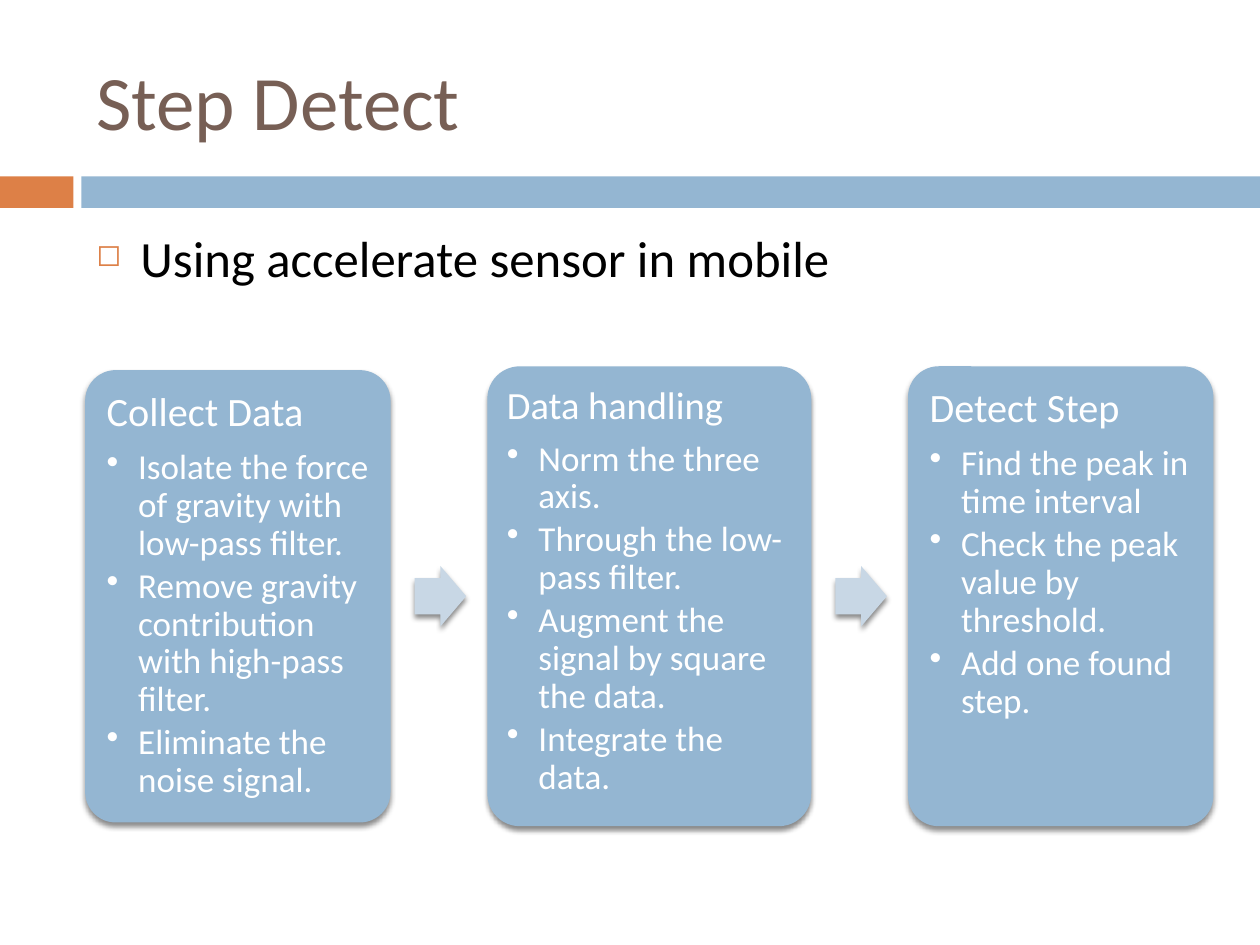
import dataclasses
import typing

import lxml.etree
import pptx
import pptx.dml.color
import pptx.enum.shapes
import pptx.enum.text
import pptx.oxml.ns
import pptx.util

Pt = pptx.util.Pt
KIND = pptx.enum.shapes.MSO_SHAPE
SIDE = pptx.enum.text.MSO_ANCHOR
FONT = "Calibri"
HUES = {
    "title": "775F55", "blue": "94B6D2", "pale": "C8D7E5",
    "orange": "DD8047", "black": "000000", "white": "FFFFFF",
}


@dataclasses.dataclass
class Box:
    """A frame in points."""
    left: float
    top: float
    width: float
    height: float

    def inset(self, gap: float) -> "Box":
        """Return the frame shrunk by a gap on every side."""
        return Box(self.left + gap, self.top + gap,
                   self.width - 2 * gap, self.height - 2 * gap)

    def spread(self) -> list:
        """Return the four lengths for a new shape."""
        return [Pt(n) for n in dataclasses.astuple(self)]


@dataclasses.dataclass
class Card:
    """One step of the process."""
    box: Box
    head: str
    size: float
    pad: float
    points: list[str]


CARDS = [
    Card(Box(48.7, 211.5, 174.5, 258.5), "Collect Data", 23, 7.2, [
        "Isolate the force of gravity with low-pass filter.",
        "Remove gravity contribution with high-pass filter.",
        "Eliminate the noise signal."]),
    Card(Box(278.5, 209.3, 185.1, 262.8), "Data handling", 22, 6, [
        "Norm the three axis.",
        "Through the low-pass filter.",
        "Augment the signal by square the data.",
        "Integrate the data."]),
    Card(Box(518.9, 209.3, 174.5, 262.8), "Detect Step", 23, 7.2, [
        "Find the peak in time interval",
        "Check the peak value by threshold.",
        "Add one found step."]),
]


def hue(name: str) -> pptx.dml.color.RGBColor:
    """Look up a colour by name."""
    return pptx.dml.color.RGBColor.from_string(HUES[name])


def add(node: typing.Any, tag: str, **attrs: typing.Any) -> typing.Any:
    """Add a drawing element with its attributes."""
    values = {key: str(val) for key, val in attrs.items()}
    return lxml.etree.SubElement(node, pptx.oxml.ns.qn(tag), values)


def draw(slide: typing.Any, kind: typing.Any, box: Box, fill: str,
         bends: typing.Sequence[float] = (), shade: bool = False) -> None:
    """Draw a plain filled shape, with a soft shadow if asked."""
    shape = slide.shapes.add_shape(kind, *box.spread())
    shape.fill.solid()
    shape.fill.fore_color.rgb = hue(fill)
    shape.line.fill.background()
    shape.shadow.inherit = False
    for i, bend in enumerate(bends):
        shape.adjustments[i] = bend
    if shade:
        list_ = shape._element.spPr.find(pptx.oxml.ns.qn("a:effectLst"))
        glow = add(list_, "a:outerShdw", blurRad=Pt(3), dist=Pt(2.4),
                   dir=5400000, rotWithShape=0)
        tint = add(glow, "a:srgbClr", val=HUES["black"])
        add(tint, "a:alpha", val=45000)


def frame(slide: typing.Any, box: Box, side: float = 7.2, edge: float = 3.6,
          anchor: typing.Any = SIDE.TOP) -> typing.Any:
    """Add a wrapped text frame."""
    text = slide.shapes.add_textbox(*box.spread()).text_frame
    text.word_wrap = True
    text.vertical_anchor = anchor
    text.margin_left = text.margin_right = Pt(side)
    text.margin_top = text.margin_bottom = Pt(edge)
    return text


def write(where: typing.Any, text: str, *, size: float, color: str,
          lead: float = 1, before: float = 0, after: float = 0,
          mark: str = "", indent: float = 0, scale: int = 100,
          tint: str = "", level: int = 0) -> None:
    """Write a paragraph, in the first one if it is still empty."""
    para = where.paragraphs[0]
    if para.runs:
        para = where.add_paragraph()
    para.level = level
    para.line_spacing = lead
    para.space_before, para.space_after = Pt(before), Pt(after)
    run = para.add_run()
    run.text = text
    run.font.name, run.font.size = FONT, Pt(size)
    run.font.color.rgb = hue(color)
    if mark:
        props = para._p.get_or_add_pPr()
        props.set("marL", str(Pt(indent)))
        props.set("indent", str(-Pt(indent)))
        add(add(props, "a:buClr"), "a:srgbClr", val=HUES[tint or color])
        add(props, "a:buSzPct", val=scale * 1000)
        add(props, "a:buChar", char=mark)


def fill_card(slide: typing.Any, card: Card) -> None:
    """Draw a card with its heading and points."""
    draw(slide, KIND.ROUNDED_RECTANGLE, card.box, "blue", [0.1], shade=True)
    text = frame(slide, card.box.inset(5.2), card.pad, card.pad)
    write(text, card.head, size=card.size, color="white", lead=0.9,
          after=0.35 * card.size)
    for point in card.points:
        write(text, point, size=20, color="white", lead=0.9, after=3,
              mark="•", indent=18, level=1)


def main() -> None:
    """Build the slide and save it."""
    deck = pptx.Presentation()
    deck.slide_width, deck.slide_height = Pt(720), Pt(540)
    slide = deck.slides.add_slide(deck.slide_layouts[6])

    draw(slide, KIND.RECTANGLE, Box(0, 100.8, 42, 18), "orange")
    draw(slide, KIND.RECTANGLE, Box(46.5, 100.8, 673.5, 18), "blue")
    title = frame(slide, Box(48, 18, 642, 78), anchor=SIDE.MIDDLE)
    write(title, "Step Detect", size=44, color="title")
    body = frame(slide, Box(48, 126, 642, 354))
    write(body, "Using accelerate sensor in mobile", size=29, color="black",
          before=7, mark="◻", indent=25.2, scale=60, tint="orange")

    for card in CARDS:
        fill_card(slide, card)
    for card in CARDS[:-1]:
        left = card.box.left + card.box.width + 13.7
        draw(slide, KIND.RIGHT_ARROW, Box(left, 323.4, 29.5, 34.6), "pale",
             [0.6, 0.5], shade=True)
    deck.save("out.pptx")


main()
